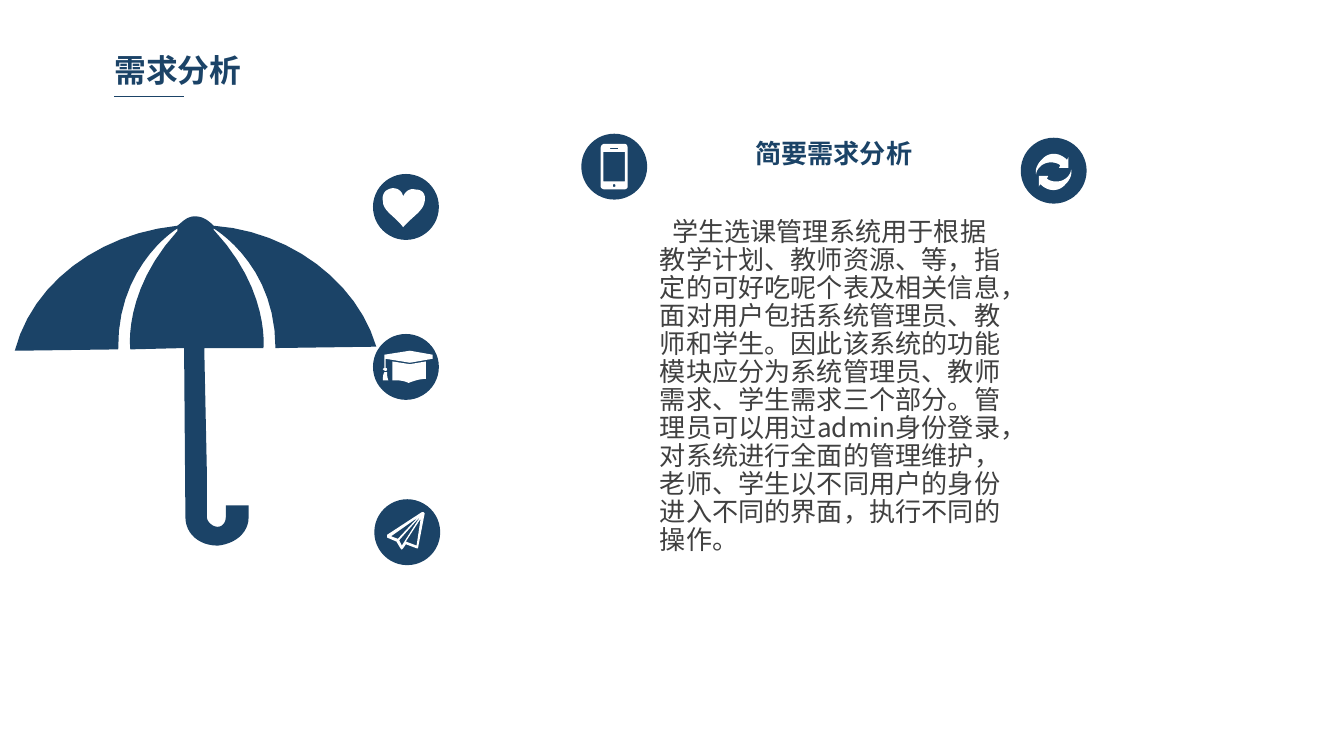
from lxml.etree import SubElement
from pptx import Presentation
from pptx.dml.color import RGBColor
from pptx.enum.shapes import MSO_CONNECTOR, MSO_SHAPE
from pptx.enum.text import MSO_ANCHOR, MSO_AUTO_SIZE, PP_ALIGN
from pptx.oxml.ns import qn
from pptx.util import Inches, Pt

# ---- Content ----
COLORS = {"navy": "1B4367", "white": "FFFFFF", "body": "404040"}
FONT = "Noto Sans CJK SC"
TITLE = "需求分析"
HEADING = "简要需求分析"
BODY = ("学生选课管理系统用于根据教学计划、教师资源、等，指定的可好吃呢个表及相关信息，"
        "面对用户包括系统管理员、教师和学生。因此该系统的功能模块应分为系统管理员、教师需求、"
        "学生需求三个部分。管理员可以用过admin身份登录，对系统进行全面的管理维护，"
        "老师、学生以不同用户的身份进入不同的界面，执行不同的操作。")

# Text formats: box is left, top, width, height in inches
TITLE_FORMAT = {"box": (0.78, 0.34, 2.47, 0.36), "size": 17, "color": "navy",
                "bold": True, "align": PP_ALIGN.LEFT, "wrap": True}
HEADING_FORMAT = {"box": (5.53, 0.98, 1.33, 0.31), "size": 14, "color": "navy",
                  "bold": True, "align": PP_ALIGN.RIGHT, "wrap": False}
BODY_FORMAT = {"box": (4.84, 1.59, 2.72, 2.6), "size": 14, "color": "body",
               "bold": False, "align": PP_ALIGN.LEFT, "wrap": True,
               "line_spacing": Pt(15), "indent": 0.09}

# Outlines in inches: a pair is a line to a point, six numbers are a Bezier curve
UMBRELLA = [
    (2.05, 2.59), (2.8, 2.58), (2.66, 2.1, 2.16, 1.72, 1.59, 1.68),
    (1.55, 1.64, 1.51, 1.61, 1.45, 1.61), (1.39, 1.61, 1.36, 1.65, 1.32, 1.68),
    (0.73, 1.74, 0.24, 2.11, 0.11, 2.61), (0.88, 2.6),
    (0.87, 2.03, 1.24, 1.75, 1.32, 1.7), (1.32, 1.72),
    (0.91, 2.17, 0.97, 2.6, 0.97, 2.6), (1.37, 2.59), (1.38, 3.85),
    (1.38, 3.97, 1.48, 4.06, 1.62, 4.06), (1.74, 4.05, 1.85, 3.97, 1.85, 3.85),
    (1.85, 3.76), (1.68, 3.76), (1.68, 3.85), (1.68, 3.88, 1.66, 3.92, 1.62, 3.92),
    (1.58, 3.92, 1.54, 3.88, 1.54, 3.85), (1.54, 3.54), (1.52, 2.59), (1.96, 2.59),
    (1.96, 2.59, 2.01, 2.16, 1.59, 1.71), (1.59, 1.7),
    (1.67, 1.75, 2.05, 2.02, 2.05, 2.59)]
HEART = [
    (3, 1.46), (2.99, 1.42, 2.96, 1.4, 2.92, 1.4), (2.86, 1.41, 2.84, 1.45, 2.85, 1.5),
    (2.85, 1.57, 2.94, 1.61, 3, 1.69), (3.07, 1.61, 3.15, 1.57, 3.16, 1.5),
    (3.17, 1.45, 3.15, 1.41, 3.09, 1.41), (3.05, 1.4, 3.02, 1.42, 3, 1.46)]
SYNC_ARROW = [
    (7.94, 1.19), (7.88, 1.13, 7.8, 1.13, 7.75, 1.19), (7.72, 1.22, 7.7, 1.26, 7.71, 1.3),
    (7.71, 1.28, 7.72, 1.26, 7.74, 1.24), (7.78, 1.2, 7.85, 1.2, 7.89, 1.23),
    (7.88, 1.25), (7.95, 1.25), (7.95, 1.17)]
CAP = [
    [(3.22, 2.64), (3.05, 2.61), (2.86, 2.64), (2.86, 2.74),
     (2.86, 2.74, 2.85, 2.74, 2.85, 2.75), (2.85, 2.75, 2.86, 2.76, 2.87, 2.76),
     (2.88, 2.76, 2.88, 2.75, 2.88, 2.75), (2.88, 2.74, 2.88, 2.74, 2.87, 2.74),
     (2.87, 2.67), (3.05, 2.7), (3.22, 2.67)],
    [(2.88, 2.77), (2.86, 2.77), (2.85, 2.79, 2.85, 2.8, 2.85, 2.83), (2.89, 2.83),
     (2.88, 2.8, 2.88, 2.79, 2.88, 2.77)],
    [(2.92, 2.83), (2.92, 2.69), (3.05, 2.71), (3.17, 2.69), (3.17, 2.82),
     (3.13, 2.82, 3.09, 2.83, 3.04, 2.85), (3, 2.83, 2.96, 2.83, 2.92, 2.83)]]
PHONE = [
    [(4.64, 1.07), (4.5, 1.07), (4.49, 1.07, 4.47, 1.08, 4.47, 1.1), (4.47, 1.39),
     (4.47, 1.4, 4.49, 1.41, 4.5, 1.41), (4.64, 1.41),
     (4.66, 1.41, 4.67, 1.4, 4.67, 1.39), (4.67, 1.1), (4.67, 1.08, 4.66, 1.07, 4.64, 1.07)],
    [(4.54, 1.1), (4.6, 1.1), (4.6, 1.11), (4.54, 1.11)],
    [(4.57, 1.39), (4.56, 1.39, 4.56, 1.39, 4.56, 1.38), (4.56, 1.38, 4.56, 1.37, 4.57, 1.37),
     (4.58, 1.37, 4.58, 1.38, 4.58, 1.38), (4.58, 1.39, 4.58, 1.39, 4.57, 1.39)],
    [(4.65, 1.35), (4.49, 1.35), (4.49, 1.13), (4.65, 1.13)]]
PLANE = [
    [(3.15, 3.81), (3.14, 3.81), (2.88, 3.98), (2.88, 4), (2.95, 4.03), (2.98, 4.08),
     (2.99, 4.09), (3, 4.08), (3.02, 4.05), (3.1, 4.08), (3.11, 4.08), (3.16, 3.82)],
    [(2.91, 3.99), (3.11, 3.85), (2.96, 4.01)],
    [(2.97, 4.02), (3.13, 3.84), (2.99, 4.06)],
    [(3.1, 4.06), (3.02, 4.03), (3.13, 3.86)]]


def half_turn(outline, cx, cy):
    return [tuple(2 * (cy if i % 2 else cx) - v for i, v in enumerate(step))
            for step in outline]


# Disc centre and the glyphs on it; each glyph is a list of outlines
DISC = 0.49
ICONS = [
    ((3.02, 1.54), [[HEART]]),
    ((7.84, 1.27), [[SYNC_ARROW], [half_turn(SYNC_ARROW, 7.84, 1.28)]]),
    ((3.02, 2.73), [CAP]),
    ((4.57, 1.24), [PHONE]),
    ((3.03, 3.96), [PLANE])]


# ---- Helpers ----
def rgb(name):
    return RGBColor.from_string(COLORS[name])


def paint(shape, color):
    shape.fill.solid()
    shape.fill.fore_color.rgb = rgb(color)
    shape.line.fill.background()
    shape.shadow.inherit = False


def flatten(outline, steps=12):
    """Turn lines and Bezier curves into a list of points."""
    points = [outline[0]]
    for step in outline[1:]:
        if len(step) == 2:
            points.append(step)
            continue
        start, controls = points[-1], (step[:2], step[2:4], step[4:])
        for t in (n / steps for n in range(1, steps + 1)):
            weights = ((1 - t) ** 3, 3 * t * (1 - t) ** 2, 3 * t * t * (1 - t), t ** 3)
            points.append(tuple(sum(w * p[axis] for w, p in zip(weights, (start, *controls)))
                                for axis in (0, 1)))
    return [(Inches(x), Inches(y)) for x, y in points]


def draw(shapes, outlines, color):
    first, *holes = [flatten(outline) for outline in outlines]
    builder = shapes.build_freeform(*first[0])
    builder.add_line_segments(first[1:], close=True)
    for points in holes:
        builder.move_to(*points[0])
        builder.add_line_segments(points[1:], close=True)
    paint(builder.convert_to_shape(), color)


def write(holder, text, style):
    for side, value in zip(("left", "top", "width", "height"), style["box"]):
        setattr(holder, side, Inches(value))
    frame = holder.text_frame
    frame.text = text
    settings = {"margin_left": Inches(0.07), "margin_right": Inches(0.07),
                "margin_top": Inches(0.04), "margin_bottom": Inches(0.04),
                "vertical_anchor": MSO_ANCHOR.TOP, "word_wrap": style["wrap"],
                "auto_size": MSO_AUTO_SIZE.SHAPE_TO_FIT_TEXT}
    for key, value in settings.items():
        setattr(frame, key, value)
    paragraph = frame.paragraphs[0]
    paragraph.alignment = style["align"]
    paragraph.space_before = Pt(0)
    paragraph.line_spacing = style.get("line_spacing", 1.0)
    properties = paragraph._p.get_or_add_pPr()
    properties.set("marL", "0")
    properties.set("indent", str(Inches(style.get("indent", 0))))
    SubElement(properties, qn("a:buNone"))
    font = paragraph.runs[0].font
    for key, value in {"name": FONT, "size": Pt(style["size"]), "bold": style["bold"]}.items():
        setattr(font, key, value)
    font.color.rgb = rgb(style["color"])
    SubElement(font._element, qn("a:ea")).set("typeface", FONT)


# ---- Slide, 16:9 ----
deck = Presentation()
deck.slide_width = Inches(10)
deck.slide_height = deck.slide_width * 9 // 16
slide = deck.slides.add_slide(deck.slide_layouts[1])

# Umbrella and round icons
draw(slide.shapes, [UMBRELLA], "navy")
for (cx, cy), glyphs in ICONS:
    icon = slide.shapes.add_group_shape().shapes
    disc = icon.add_shape(MSO_SHAPE.OVAL, Inches(cx - DISC / 2), Inches(cy - DISC / 2),
                          Inches(DISC), Inches(DISC))
    paint(disc, "navy")
    for glyph in glyphs:
        draw(icon, glyph, "white")

# Title, heading and description
write(slide.shapes.title, TITLE, TITLE_FORMAT)
write(slide.shapes.add_textbox(0, 0, 0, 0), HEADING, HEADING_FORMAT)
write(slide.placeholders[1], BODY, BODY_FORMAT)

# Rule under the title
rule = slide.shapes.add_connector(MSO_CONNECTOR.STRAIGHT, Inches(0.85), Inches(0.72),
                                  Inches(1.37), Inches(0.72))
rule.line.color.rgb = rgb("navy")
rule.line.width = Pt(0.75)
SubElement(rule._element.spPr, qn("a:effectLst"))

deck.save("out.pptx")
